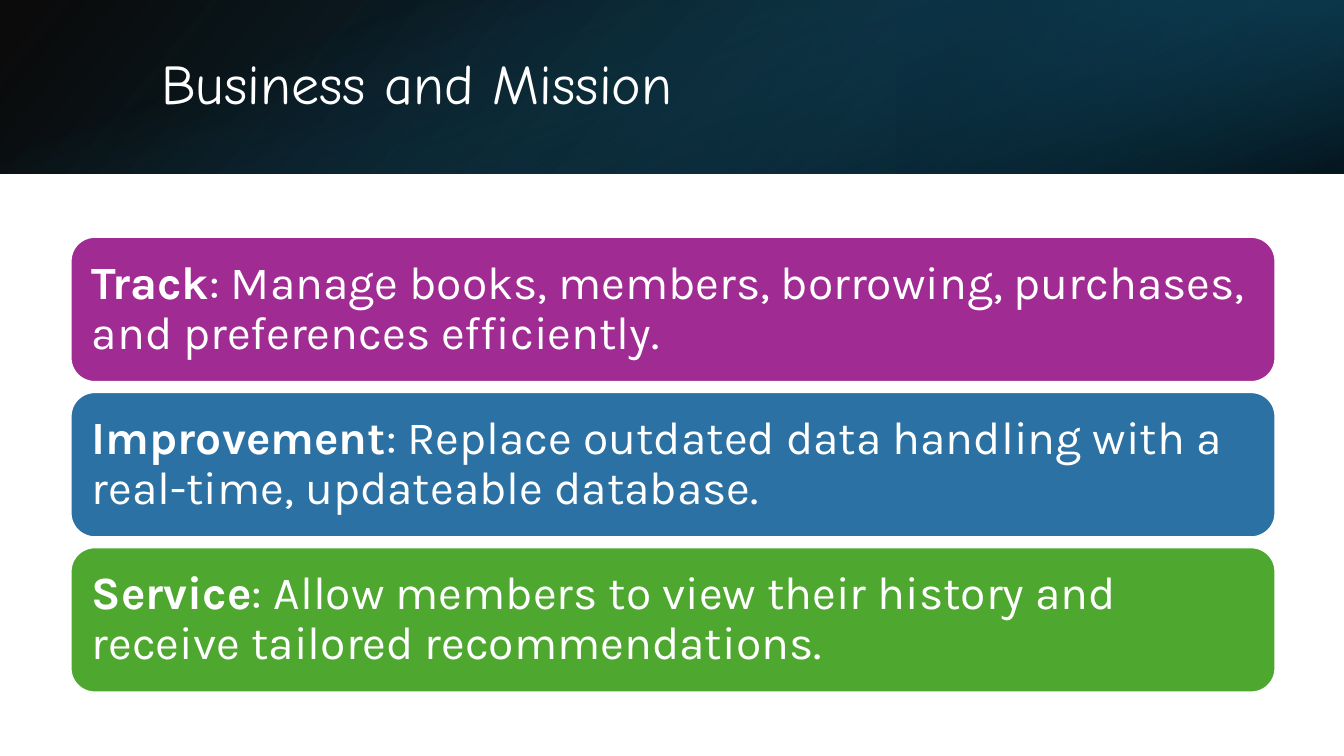
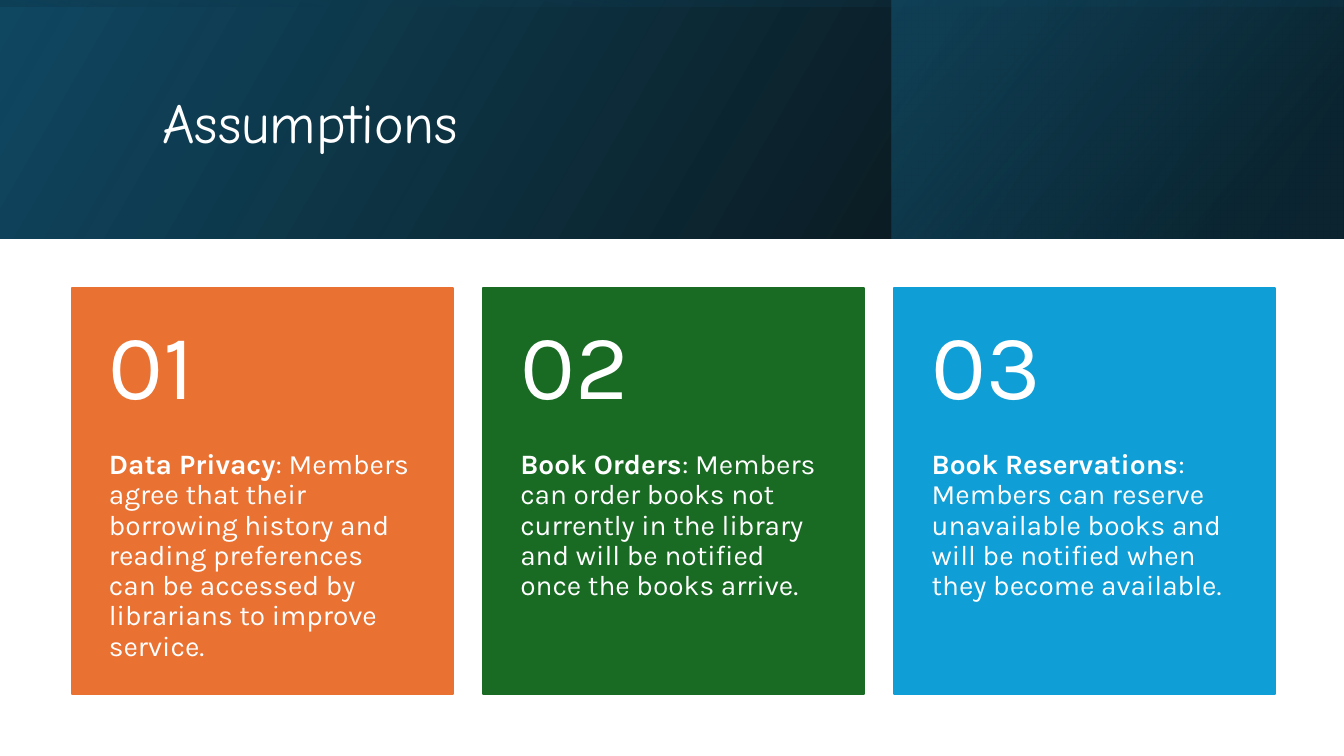
from lxml.etree import SubElement
from pptx import Presentation
from pptx.dml.color import RGBColor
from pptx.enum.shapes import MSO_SHAPE
from pptx.enum.text import MSO_ANCHOR, MSO_AUTO_SIZE, PP_ALIGN
from pptx.oxml.ns import qn
from pptx.util import Inches, Pt

# Shared style
WHITE = RGBColor(0xFF, 0xFF, 0xFF)
BLACK = RGBColor(0x00, 0x00, 0x00)
NAVY = RGBColor(0x10, 0x48, 0x62)
DEEP_TEAL = RGBColor(0x0B, 0x30, 0x41)
TEAL = RGBColor(0x15, 0x60, 0x82)
PURPLE = RGBColor(0xA0, 0x2B, 0x93)
BLUE = RGBColor(0x2C, 0x71, 0xA4)
GREEN = RGBColor(0x4E, 0xA7, 0x2E)
ORANGE = RGBColor(0xE9, 0x71, 0x32)
DARK_GREEN = RGBColor(0x19, 0x6B, 0x24)
SKY = RGBColor(0x0F, 0x9E, 0xD5)

TITLE_FONT = "Comic Neue"
BODY_FONT = "Karla"
SLIDE_WIDTH = 13.33
TITLE_ONLY = 5

# Content: (colour, heading, explanation)
MISSIONS = [
    (PURPLE, "Track", ": Manage books, members, borrowing, purchases, "
                      "and preferences efficiently."),
    (BLUE, "Improvement", ": Replace outdated data handling with a "
                          "real-time, updateable database."),
    (GREEN, "Service", ": Allow members to view their history and "
                       "receive tailored recommendations."),
]
ASSUMPTIONS = [
    (ORANGE, "Data Privacy", ": Members agree that their borrowing history "
                             "and reading preferences can be accessed by "
                             "librarians to improve service."),
    (DARK_GREEN, "Book Orders", ": Members can order books not currently in "
                                "the library and will be notified once the "
                                "books arrive."),
    (SKY, "Book Reservations", ": Members can reserve unavailable books and "
                               "will be notified when they become available."),
]


def place(box):
    return [Inches(length) for length in box]


def set_frame(frame, insets, anchor):
    """Insets run left, top, right, bottom."""
    frame.word_wrap = True
    frame.auto_size = MSO_AUTO_SIZE.NONE
    frame.vertical_anchor = anchor
    (frame.margin_left, frame.margin_top,
     frame.margin_right, frame.margin_bottom) = place(insets)


def style_paragraph(paragraph, size, font_name=BODY_FONT):
    paragraph.alignment = PP_ALIGN.LEFT
    paragraph.line_spacing = 0.9
    for run in paragraph.runs:
        run.font.size = Pt(size)
        run.font.name = font_name
        run.font.color.rgb = WHITE


def add_gradient(slide, box, stops, angle, rotation=0, flip=True):
    """Stops are (percent, colour, opacity percent); the angle is clockwise."""
    panel = slide.shapes.add_shape(MSO_SHAPE.RECTANGLE, *place(box))
    panel.shadow.inherit = False
    panel.rotation = rotation
    panel.fill.gradient()
    panel.fill.gradient_angle = 360 - angle
    for stop, (percent, colour, _) in zip(panel.fill.gradient_stops, stops):
        stop.position = percent / 100
        stop.color.rgb = colour
    properties = panel._element.spPr
    for colour_node, (_, _, opacity) in zip(
            list(properties.iter(qn("a:srgbClr"))), stops):
        SubElement(colour_node, qn("a:alpha")).set("val", str(opacity * 1000))
    if flip:
        properties.find(qn("a:xfrm")).set("flipH", "1")
    panel.line.fill.background()


def add_band(slide, height, base_angle, corner, veil):
    """Title band: base, right-hand corner panel and a turned veil on top."""
    add_gradient(slide, (0, 0, SLIDE_WIDTH, height),
                 [(0, BLACK, 96), (100, NAVY, 100)], base_angle)
    corner_left, corner_width, corner_opacity, corner_rotation = corner
    add_gradient(slide, (corner_left, 0, corner_width, height),
                 [(19, DEEP_TEAL, 68), (100, TEAL, corner_opacity)],
                 320, corner_rotation)
    # The veil is upright before its quarter turn, so centre it on the band
    offset = (SLIDE_WIDTH - height) / 2
    add_gradient(slide, (offset, -offset, height, SLIDE_WIDTH), **veil)


def add_title(slide, text, box):
    title = slide.shapes.title
    title.left, title.top, title.width, title.height = place(box)
    set_frame(title.text_frame, (0.1, 0.05, 0.1, 0.05), MSO_ANCHOR.MIDDLE)
    title.text_frame.text = text
    style_paragraph(title.text_frame.paragraphs[0], 40, TITLE_FONT)
    # Bring the title in front of the band
    slide.shapes._spTree.append(title._element)


def add_card(slide, geometry, box, fill, line, text, size, insets, anchor):
    card = slide.shapes.add_shape(geometry, *place(box))
    card.shadow.inherit = False
    card.fill.solid()
    card.fill.fore_color.rgb = fill
    card.line.color.rgb = line
    card.line.width = Pt(1.5)
    set_frame(card.text_frame, insets, anchor)
    paragraph = card.text_frame.paragraphs[0]
    for part, bold in zip(text, (True, False)):
        run = paragraph.add_run()
        run.text = part
        run.font.bold = bold
    style_paragraph(paragraph, size)


def add_number(slide, number, box):
    label = slide.shapes.add_textbox(*place(box))
    set_frame(label.text_frame, (0.37, 0.18, 0.37, 0.18), MSO_ANCHOR.MIDDLE)
    label.text_frame.text = f"{number:02d}"
    style_paragraph(label.text_frame.paragraphs[0], 66)


def build_mission(slide):
    add_band(slide, 1.72, 140, (8.89, 4.44, 79, 180),
             dict(stops=[(23, TEAL, 0), (99, BLACK, 74)],
                  angle=340, rotation=90, flip=False))
    add_title(slide, "Business and Mission", (1.5, 0.38, 10.98, 0.96))
    height, gap = 1.44, 0.1
    for row, (colour, *text) in enumerate(MISSIONS):
        top = 2.35 + row * (height + gap)
        add_card(slide, MSO_SHAPE.ROUNDED_RECTANGLE, (0.7, top, 11.95, height),
                 colour, WHITE, text, 33, [0.14] * 4, MSO_ANCHOR.MIDDLE)


def build_assumptions(slide):
    add_band(slide, 2.37, 330, (8.84, 4.48, 48, 0),
             dict(stops=[(23, NAVY, 16), (99, BLACK, 45)],
                  angle=350, rotation=270))
    add_title(slide, "Assumptions", (1.51, 0.38, 10.63, 1.72))
    top, width, gap, number_height = 2.86, 3.78, 0.3, 1.61
    for column, (colour, *text) in enumerate(ASSUMPTIONS):
        left = 0.71 + column * (width + gap)
        add_card(slide, MSO_SHAPE.RECTANGLE, (left, top, width, 4.03),
                 colour, colour, text, 20,
                 (0.37, number_height, 0.37, 0.36), MSO_ANCHOR.TOP)
        add_number(slide, column + 1, (left, top, width, number_height))


def main():
    presentation = Presentation()
    presentation.slide_width = Inches(SLIDE_WIDTH)
    presentation.slide_height = Inches(7.5)
    layout = presentation.slide_layouts[TITLE_ONLY]
    for build in (build_mission, build_assumptions):
        build(presentation.slides.add_slide(layout))
    presentation.save("out.pptx")


if __name__ == "__main__":
    main()
